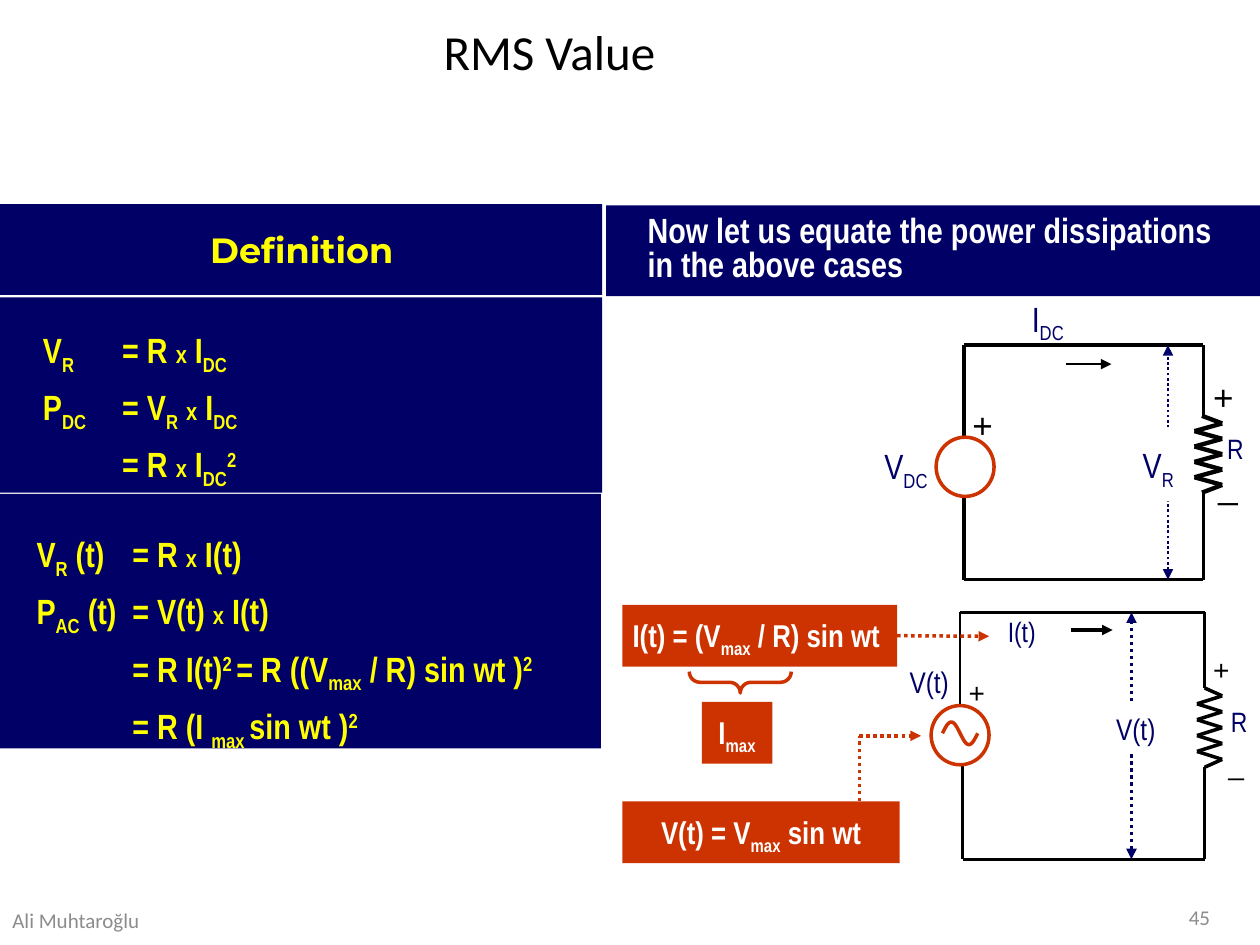
from itertools import pairwise
from math import pi, sin

from lxml.etree import SubElement
from pptx import Presentation
from pptx.dml.color import RGBColor
from pptx.enum.dml import MSO_LINE
from pptx.enum.shapes import MSO_CONNECTOR, MSO_SHAPE
from pptx.enum.text import MSO_ANCHOR, PP_ALIGN
from pptx.oxml.ns import qn
from pptx.util import Inches, Pt

NAVY = RGBColor(0x00, 0x00, 0x66)
YELLOW = RGBColor(0xFF, 0xFF, 0x00)
WHITE = RGBColor(0xFF, 0xFF, 0xFF)
BLACK = RGBColor(0x00, 0x00, 0x00)
RED = RGBColor(0xCC, 0x33, 0x00)
GREY = RGBColor(0x8C, 0x8C, 0x8C)
NARROW = "Arial Narrow"

# In formulas, "|" separates pieces; a leading _ ^ or ~ marks subscript, superscript or small text.
SUBSCRIPT, SUPERSCRIPT, SMALL = "_", "^", "~"
BASELINES = {SUBSCRIPT: "-25000", SUPERSCRIPT: "30000"}

DC_EQUATIONS = [
    "V|_R|\t= R |~x| I|_DC",
    "P|_DC|\t= V|_R| |~x| I|_DC",
    "\t= R |~x| I|_DC|^2",
]
AC_EQUATIONS = [
    "V|_R| (t)\t= R |~x| I(t)",
    "P|_AC| (t)\t= V(t) |~x| I(t)",
    "\t= R I(t)|^2 |= R ((V|_max| / R) sin wt )|^2",
    "\t= R (I |_max |sin wt )|^2",
]

# from, to, width
WIRES = [
    ((9.55, 2.74), (9.55, 3.3), 2), ((9.55, 3.91), (9.55, 4.6), 2),
    ((7.65, 4.6), (7.65, 2.74), 2), ((7.65, 4.6), (9.55, 4.6), 2),
    ((7.65, 2.74), (9.55, 2.74), 2),
    ((9.56, 4.86), (9.56, 5.46), 1.5), ((9.56, 6.09), (9.56, 6.82), 1.5),
    ((7.62, 5.6), (7.62, 4.86), 1.5), ((7.64, 6.82), (7.64, 6.04), 1.5),
    ((7.64, 6.82), (9.56, 6.82), 1.5), ((7.62, 4.86), (9.56, 4.86), 1.5),
]
CURRENT_ARROWS = [((8.46, 2.89), (8.82, 2.89), 1.5), ((8.5, 5), (8.83, 5), 2)]
VOLTAGE_SPANS = [((9.27, 4.6), (9.27, 2.74), 1.5), ((8.98, 6.82), (8.98, 4.86), 2)]
# left, right, lead x, top, bottom, width
RESISTORS = [(9.48, 9.7, 9.54, 3.3, 3.91, 2.5), (9.5, 9.7, 9.56, 5.46, 6.09, 2)]
SOURCES = [(7.43, 3.47), (7.39, 5.6)]

# text, place, size, wraps
CIRCUIT_LABELS = [
    ("V|_DC", (6.92, 3.48, 0.57, 0.43), 20, False),
    ("I|_DC", (8.09, 2.31, 0.48, 0.43), 20, False),
    ("R", (9.64, 3.38, 0.36, 0.37), 16, True),
    ("R", (9.67, 5.54, 0.33, 0.37), 16, True),
    ("I(t)", (7.9, 4.83, 0.43, 0.37), 16, False),
    ("V(t)", (7.12, 5.22, 0.58, 0.38), 17, False),
]
SPAN_LABELS = [
    ("V|_R", (8.97, 3.39, 0.5, 0.59), 20, True, (0.1, 0.13, 0.1, 0.13)),
    ("V(t)", (8.76, 5.59, 0.52, 0.38), 17, False, (0.1, 0.05, 0.1, 0.05)),
]
PLUS_SIGNS = [
    ((7.62, 3.15, 0.36, 0.43), 20), ((9.53, 2.93, 0.36, 0.43), 20),
    ((7.59, 5.31, 0.33, 0.37), 16), ((9.53, 5.13, 0.33, 0.37), 16),
]
MINUS_SIGNS = [((9.59, 3.87, 0.33, 0.51), 20), ((9.54, 6.05, 0.43, 0.45), 16)]

prs = Presentation()
prs.slide_width, prs.slide_height = Inches(10), Inches(7.5)
slide = prs.slides.add_slide(prs.slide_layouts[5])
shapes = slide.shapes


def write(shape, lines, size, color, font=NARROW, bold=False, align=PP_ALIGN.LEFT,
          insets=(0.1, 0.05, 0.1, 0.05), wrap=True, anchor=MSO_ANCHOR.TOP,
          spacing=None, tab=None):
    frame = shape.text_frame
    frame.word_wrap, frame.vertical_anchor = wrap, anchor
    (frame.margin_left, frame.margin_top,
     frame.margin_right, frame.margin_bottom) = map(Inches, insets)
    for i, line in enumerate(lines):
        paragraph = frame.paragraphs[0] if i == 0 else frame.add_paragraph()
        paragraph.alignment = align
        if spacing:
            paragraph.line_spacing = spacing
        if tab:
            stops = SubElement(paragraph._p.get_or_add_pPr(), qn("a:tabLst"))
            SubElement(stops, qn("a:tab"), pos=str(Inches(tab)), algn="l")
        for piece in line.split("|"):
            mark = piece[0] if len(piece) > 1 and piece[0] in "_^~" else ""
            run = paragraph.add_run()
            run.text = piece[len(mark):]
            run.font.size = Pt(14 if mark == SMALL else size)
            run.font.name, run.font.bold = font, bold
            run.font.color.rgb = color
            if mark in BASELINES:
                run._r.get_or_add_rPr().set("baseline", BASELINES[mark])


def label(text, place, size, color=NAVY, **style):
    shape = shapes.add_textbox(*map(Inches, place))
    write(shape, [text], size, color, **style)
    return shape


def outline(shape, color, width):
    shape.shadow.inherit = False
    shape.line.color.rgb, shape.line.width = color, Pt(width)


def panel(lines, place, fill, size, color, **style):
    shape = shapes.add_shape(MSO_SHAPE.RECTANGLE, *map(Inches, place))
    shape.shadow.inherit = False
    shape.fill.solid()
    shape.fill.fore_color.rgb = fill
    shape.line.fill.background()
    write(shape, lines, size, color, **style)
    return shape


def connect(start, end, width, color=BLACK, dotted=False, arrows=()):
    """Draw a line; arrows names the ends with a head: headEnd at start, tailEnd at end."""
    line = shapes.add_connector(MSO_CONNECTOR.STRAIGHT, *map(Inches, start + end))
    line.line.color.rgb, line.line.width = color, Pt(width)
    if dotted:
        line.line.dash_style = MSO_LINE.ROUND_DOT
    for arrow in arrows:
        SubElement(line.line._get_or_add_ln(), qn("a:" + arrow), type="triangle")
    SubElement(line._element.spPr, qn("a:effectLst"))
    return line


# Headings and equations
title = shapes.title
title.left, title.top, title.width, title.height = map(Inches, (3.42, 0.12, 1.99, 0.57))
write(title, ["RMS Value"], 28, BLACK, font="Calibri", wrap=False)
panel(["Definition"], (0, 1.62, 4.78, 0.72), NAVY, 20, YELLOW, font="Montserrat",
      bold=True, align=PP_ALIGN.CENTER, insets=(0.07, 0.19, 0.06, 0.17))
panel(["Now let us equate the power dissipations in the above cases"],
      (4.81, 1.63, 5.19, 0.72), NAVY, 20, WHITE, bold=True,
      insets=(0.33, 0.09, 0.18, 0.09), spacing=0.8)
for equations, place, left_inset, top_inset, tab in [
    (DC_EQUATIONS, (0, 2.36, 4.78, 1.55), 0.34, 0.17, 0.63),
    (AC_EQUATIONS, (0, 3.92, 4.77, 2.02), 0.29, 0.23, 0.76),
]:
    panel(equations, place, NAVY, 20, YELLOW, bold=True,
          insets=(left_inset, top_inset, 0.1, 0.1), spacing=1.2, tab=tab)

# Circuits
for start, end, width in WIRES:
    connect(start, end, width)
for start, end, width in CURRENT_ARROWS:
    connect(start, end, width, arrows=["tailEnd"])
for start, end, width in VOLTAGE_SPANS:
    connect(start, end, width, NAVY, dotted=True, arrows=["headEnd", "tailEnd"])
for left, right, lead, top, bottom, width in RESISTORS:
    step = (bottom - top) / 10
    bends = [(right if i % 2 else left, top + i * step) for i in range(1, 10)]
    for start, end in pairwise([(lead, top), *bends, (lead, bottom)]):
        connect(start, end, width)
for text, place, size, wrap, insets in SPAN_LABELS:
    panel([text], place, WHITE, size, NAVY, wrap=wrap, insets=insets)
for text, place, size, wrap in CIRCUIT_LABELS:
    label(text, place, size, wrap=wrap)
for place, size in PLUS_SIGNS:
    label("+", place, size, BLACK, font="Arial", wrap=False)
for place, size in MINUS_SIGNS:
    minus = label("_", place, size, BLACK, font="Arial", insets=(0.1, 0.05, 0.1, 0.13))
    minus.rotation = 180
for left, top in SOURCES:
    source = shapes.add_shape(MSO_SHAPE.OVAL, *map(Inches, (left, top, 0.46, 0.47)))
    source.fill.solid()
    source.fill.fore_color.rgb = WHITE
    outline(source, RED, 2)
wave = [(Inches(7.48 + 0.28 * i / 24), Inches(5.82 - 0.09 * sin(2 * pi * i / 24)))
        for i in range(25)]
wave_builder = shapes.build_freeform(*wave[0])
wave_builder.add_line_segments(wave[1:], close=False)
sine = wave_builder.convert_to_shape()
sine.fill.background()
outline(sine, RED, 2)

# Callouts; the upper half of the brace pair lies behind the current callout
brace = shapes.add_shape(MSO_SHAPE.DOUBLE_BRACE, *map(Inches, (5.64, 4.86, 0.47, 0.81)))
brace.rotation = 90
brace.adjustments[0] = 0.18
brace.fill.background()
outline(brace, RED, 2)
callout = dict(fill=RED, size=18, color=WHITE, bold=True, insets=(0.08, 0.09, 0.08, 0.09))
current = panel(["I(t) = (V|_max| / R) sin wt"], (4.94, 4.8, 2.18, 0.49), **callout)
panel(["I|_max"], (5.57, 5.57, 0.56, 0.49), align=PP_ALIGN.CENTER, **callout)
panel(["V(t) = V|_max| sin wt"], (4.94, 6.36, 2.2, 0.49), align=PP_ALIGN.CENTER, **callout)
current_pointer = connect((7.12, 5.05), (7.85, 5.05), 2, RED, dotted=True, arrows=["tailEnd"])
current_pointer.begin_connect(current, 3)
connect((6.82, 6.36), (6.82, 5.84), 2, RED, dotted=True)
connect((6.82, 5.84), (7.31, 5.84), 2, RED, dotted=True, arrows=["tailEnd"])

# Footer
footer = dict(size=12, color=GREY, font="Calibri", anchor=MSO_ANCHOR.MIDDLE)
label("Ali Muhtaroğlu", (0, 7.1, 1.38, 0.4), **footer)
label("45", (9.04, 7.08, 0.96, 0.4), align=PP_ALIGN.CENTER, **footer)

prs.save("out.pptx")
